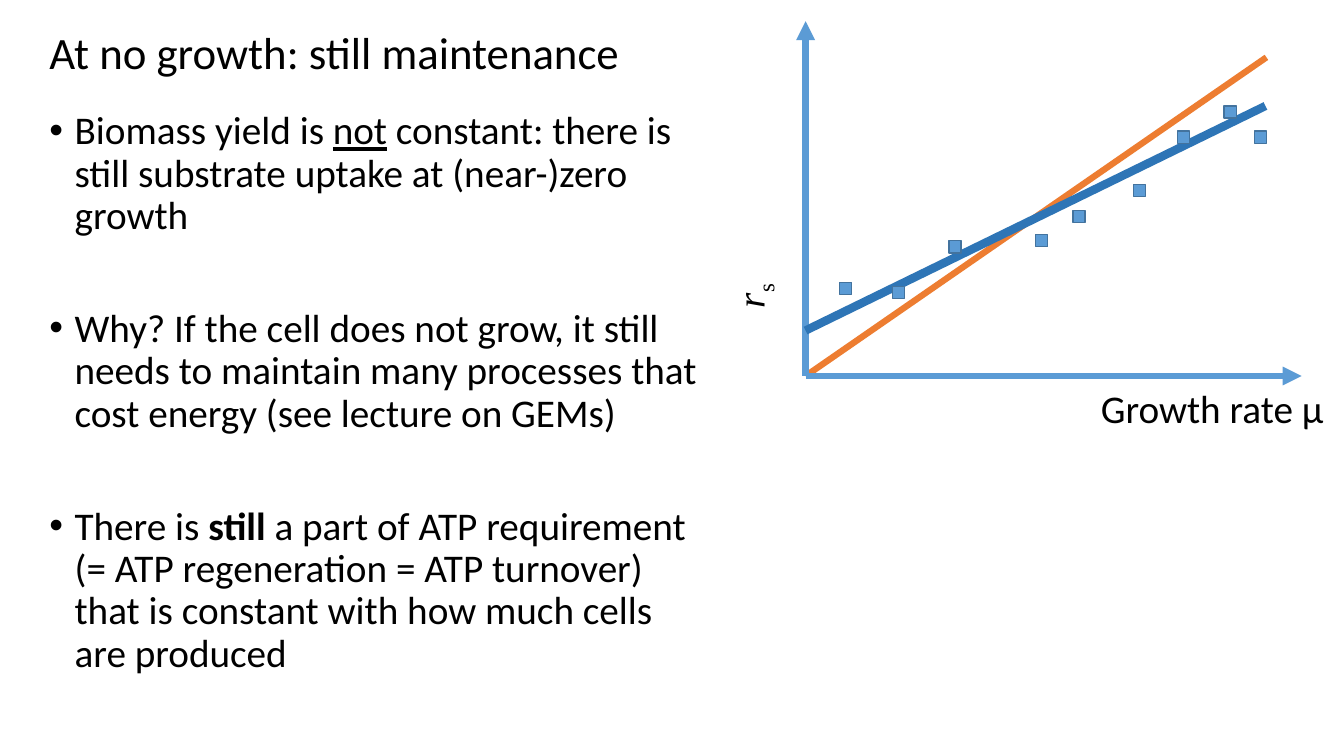
from lxml import etree
from pptx import Presentation
from pptx.dml.color import RGBColor
from pptx.enum.shapes import MSO_CONNECTOR, MSO_SHAPE
from pptx.enum.text import MSO_ANCHOR, MSO_AUTO_SIZE, PP_ALIGN
from pptx.oxml.ns import qn
from pptx.util import Inches, Pt

STRAIGHT, SQUARE = MSO_CONNECTOR.STRAIGHT, MSO_SHAPE.RECTANGLE
LEFT, TOP, MIDDLE = PP_ALIGN.LEFT, MSO_ANCHOR.TOP, MSO_ANCHOR.MIDDLE
NO_FIT = MSO_AUTO_SIZE.NONE

# Content
HEADING = "At no growth: still maintenance"
POINTS = [
    [("Biomass yield is ", {}), ("not", {"underline": True}),
     (" constant: there is still substrate uptake at (near-)zero growth", {})],
    [("Why? If the cell does not grow, it still needs to maintain many "
      "processes that cost energy (see lecture on GEMs)", {})],
    [("There is ", {}), ("still", {"bold": True}),
     (" a part of ATP requirement (= ATP regeneration = ATP turnover) that is "
      "constant with how much cells are produced", {})],
]
GROWTH_LABEL = [("Growth rate μ", {})]
UPTAKE_LABEL = [("r", {"italic": True}), ("s", {})]

# Graph values, as percent of the axis lengths
MEASUREMENTS = [(91.7, 67.3), (85.6, 74.4), (67.3, 52.3), (55.1, 44.9), (76.2, 67.3),
                (30.1, 36.4), (18.7, 23.6), (47.6, 38.1), (8.1, 24.7)]
# start, end, colour, width in points, arrowhead
PROPORTIONAL = ((0, 0), (92.9, 89.8), "orange", 4.5, False)
UPTAKE_AXIS = ((0, 0), (0, 100), "blue", 4.5, True)
GROWTH_AXIS = ((0, 0), (100, 0), "blue", 4.5, True)
WITH_MAINTENANCE = ((0, 12.8), (92.7, 76.1), "dark_blue", 6, False)

COLORS = {"text": "000000", "orange": "ED7D31", "blue": "5B9BD5",
          "dark_blue": "2E75B6", "edge": "43739E"}
SANS, SERIF = "Calibri", "Times New Roman"

# Layout in inches
ORIGIN_X, ORIGIN_Y = 7.99, 3.73
AXIS_W, AXIS_H = 4.92, 3.52
MARKER = 0.12
MARGIN = 0.39
LABEL_W, LABEL_H = 2.83, 0.7


def color(name):
    return RGBColor.from_string(COLORS[name])


def on_graph(point):
    x, y = point
    return ORIGIN_X + AXIS_W * x / 100, ORIGIN_Y - AXIS_H * y / 100


def place(shape, left, top, width, height):
    box = {"left": left, "top": top, "width": width, "height": height}
    for side, length in box.items():
        setattr(shape, side, Inches(length))


def set_frame(shape, anchor):
    frame = shape.text_frame
    for name, value in {"word_wrap": True, "auto_size": NO_FIT,
                        "vertical_anchor": anchor}.items():
        setattr(frame, name, value)
    return frame


def write(paragraph, runs, size, face=SANS):
    paragraph.alignment = LEFT
    for words, emphasis in runs:
        run = paragraph.add_run()
        run.text = words
        for name, value in {"name": face, "size": Pt(size), **emphasis}.items():
            setattr(run.font, name, value)
        run.font.color.rgb = color("text")


def draw_line(slide, start, end, hue, width, arrow):
    ends = [Inches(v) for v in (*on_graph(start), *on_graph(end))]
    line = slide.shapes.add_connector(STRAIGHT, *ends)
    line.line.color.rgb = color(hue)
    line.line.width = Pt(width)
    if arrow:
        etree.SubElement(line.line._get_or_add_ln(), qn("a:tailEnd"), type="triangle")
    etree.SubElement(line._element.spPr, qn("a:effectLst"))


def draw_label(slide, left, top, runs, face, rotation=0):
    label = slide.shapes.add_textbox(0, 0, 0, 0)
    place(label, left, top, LABEL_W, LABEL_H)
    label.rotation = rotation
    paragraph = set_frame(label, TOP).paragraphs[0]
    write(paragraph, runs, 28, face)
    return paragraph


def draw_marker(slide, point):
    x, y = on_graph(point)
    marker = slide.shapes.add_shape(SQUARE, 0, 0, 0, 0)
    place(marker, x - MARKER / 2, y - MARKER / 2, MARKER, MARKER)
    marker.shadow.inherit = False
    marker.fill.solid()
    marker.fill.fore_color.rgb = color("blue")
    marker.line.color.rgb = color("edge")
    marker.line.width = Pt(1)


def main():
    deck = Presentation()
    deck.slide_width, deck.slide_height = Inches(13.33), Inches(7.5)
    slide = deck.slides.add_slide(deck.slide_layouts[1])

    # Heading
    heading = slide.shapes.title
    place(heading, MARGIN, 0.21, 12.02, 0.68)
    line = set_frame(heading, MIDDLE).paragraphs[0]
    line.line_spacing = 0.9
    write(line, [(HEADING, {})], 32)

    # Bullet list
    body = slide.placeholders[1]
    place(body, MARGIN, 1.05, 6.66, 5.94)
    frame = set_frame(body, TOP)
    for i, runs in enumerate(POINTS):
        item = frame.add_paragraph() if i else frame.paragraphs[0]
        item.line_spacing = 0.9
        item.space_before = Pt(50.5 if i else 10)
        indent = item._p.get_or_add_pPr()
        indent.set("marL", str(Inches(0.25)))
        indent.set("indent", str(Inches(-0.25)))
        write(item, runs, 28)

    # Graph: axes, labels, model lines, measurements
    for model in (PROPORTIONAL, UPTAKE_AXIS, GROWTH_AXIS):
        draw_line(slide, *model)
    draw_label(slide, 10.82, 3.76, GROWTH_LABEL, SANS)
    uptake = draw_label(slide, 6.08, 1.39, UPTAKE_LABEL, SERIF, rotation=270)
    uptake.runs[1].font._element.set("baseline", "-25000")
    draw_line(slide, *WITH_MAINTENANCE)
    for point in MEASUREMENTS:
        draw_marker(slide, point)

    deck.save("out.pptx")


if __name__ == "__main__":
    main()
